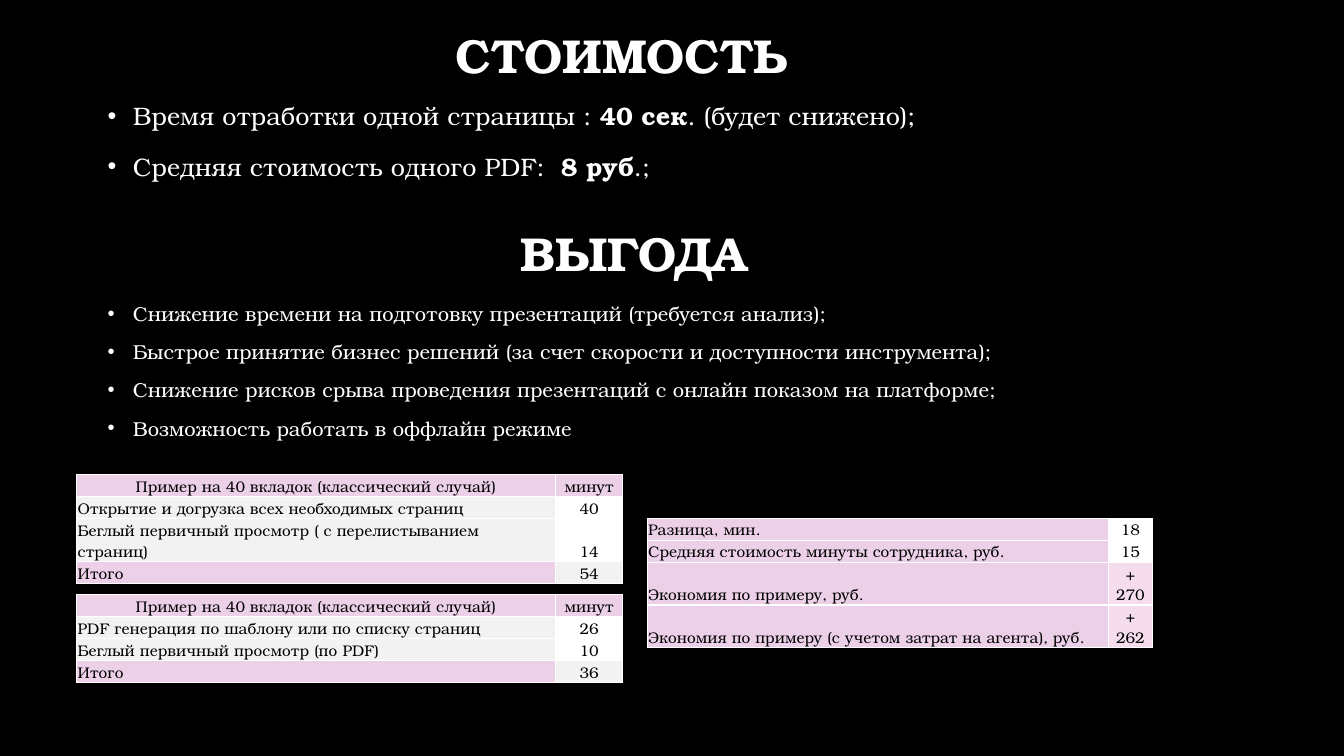
import pptx
import pptx.util
import pptx.dml.color
import pptx.enum.text
import pptx.oxml.ns
import lxml.etree

COLORS = {
    "background": "000000",
    "light_text": "FFFFFF",
    "dark_text": "000000",
    "border": "FFFFFF",
    "pink": "EBD0E7",
    "pale_pink": "F5DDEE",
    "gray": "F2F2F2",
    "white": "FFFFFF",
}
FONT = "TeX Gyre Bonum"
COLUMNS, ROWS = 160, 90
SINGLE_LINE, DOUBLE_LINE = 2.62, 5.1
ALIGN = pptx.enum.text.PP_ALIGN
ANCHOR = pptx.enum.text.MSO_ANCHOR

deck = pptx.Presentation()
deck.slide_width = pptx.util.Inches(13.33)
deck.slide_height = pptx.util.Inches(7.5)
COLUMN = deck.slide_width / COLUMNS
ROW = deck.slide_height / ROWS


def color(name):
    return pptx.dml.color.RGBColor.from_string(COLORS[name])


def place(box):
    left, top, width, height = box
    return [round(n) for n in (left * COLUMN, top * ROW, width * COLUMN, height * ROW)]


def apply(target, formats):
    for key, value in formats.items():
        setattr(target, key, value)


def write(paragraph, parts, size, text_color, formats):
    apply(paragraph, formats)
    for text, bold in parts:
        run = paragraph.add_run()
        run.text = text
        apply(run.font, {"name": FONT, "size": pptx.util.Pt(size), "bold": bold})
        run.font.color.rgb = color(text_color)


def add_bullet(paragraph):
    properties = paragraph._p.get_or_add_pPr()
    indent = pptx.util.Inches(0.25)
    properties.set("marL", str(indent))
    properties.set("indent", str(-indent))
    for tag, attribute, value in (("a:buFont", "typeface", "Arial"), ("a:buChar", "char", "•")):
        element = lxml.etree.SubElement(properties, pptx.oxml.ns.qn(tag))
        element.set(attribute, value)


def add_border(cell):
    properties = cell._tc.get_or_add_tcPr()
    for side in ("a:lnL", "a:lnR", "a:lnT", "a:lnB"):
        line = lxml.etree.SubElement(properties, pptx.oxml.ns.qn(side), w=str(pptx.util.Pt(1)))
        fill = lxml.etree.SubElement(line, pptx.oxml.ns.qn("a:solidFill"))
        lxml.etree.SubElement(fill, pptx.oxml.ns.qn("a:srgbClr"), val=COLORS["border"])


def add_heading(slide, box, text):
    frame = slide.shapes.add_textbox(*place(box)).text_frame
    apply(frame, {"word_wrap": True, "vertical_anchor": ANCHOR.MIDDLE})
    write(frame.paragraphs[0], [(text, True)], 34, "light_text",
          {"alignment": ALIGN.CENTER, "line_spacing": 0.9})


def add_list(slide, box, items, size, spacing):
    frame = slide.shapes.add_textbox(*place(box)).text_frame
    frame.word_wrap = True
    for index, parts in enumerate(items):
        paragraph = frame.add_paragraph() if index else frame.paragraphs[0]
        add_bullet(paragraph)
        write(paragraph, parts, size, "light_text",
              {"line_spacing": spacing, "space_before": pptx.util.Pt(10 if index else 0)})


def add_calculation(slide, corner, widths, rows, fills, wrapped_rows, has_header):
    heights = [DOUBLE_LINE if r in wrapped_rows else SINGLE_LINE for r in range(len(rows))]
    box = (*corner, sum(widths), sum(heights))
    table = slide.shapes.add_table(len(rows), len(widths), *place(box)).table
    apply(table, {"first_row": has_header, "horz_banding": False})
    for column, width in zip(table.columns, widths):
        column.width = round(width * COLUMN)
    for row, height in zip(table.rows, heights):
        row.height = round(height * ROW)
    margin = pptx.util.Inches(0.01)
    for r, (texts, row_fills) in enumerate(zip(rows, fills)):
        for c, (text, fill) in enumerate(zip(texts, row_fills)):
            cell = table.cell(r, c)
            add_border(cell)
            apply(cell, {"margin_left": margin, "margin_right": margin, "margin_top": margin,
                         "margin_bottom": 0, "vertical_anchor": ANCHOR.BOTTOM})
            cell.fill.solid()
            cell.fill.fore_color.rgb = color(fill)
            centered = c == 1 or (has_header and r == 0)
            write(cell.text_frame.paragraphs[0], [(text, False)], 11, "dark_text",
                  {"alignment": ALIGN.CENTER if centered else ALIGN.LEFT})


def build_cost(slide, left, top):
    add_heading(slide, (left, top, 135.84, 17.4), "СТОИМОСТЬ")
    add_list(slide, (left + 5.52, top + 12.48, 149.28, 11.88), [
        [("Время отработки одной страницы : ", False), ("40 сек", True),
         (". (будет снижено);", False)],
        [("Средняя стоимость одного PDF:  ", False), ("8 руб", True), (".;", False)],
    ], 18, 1.2)


def build_benefit(slide, left, top):
    add_heading(slide, (left, top, 135.84, 17.4), "ВЫГОДА")
    benefits = (
        "Снижение времени на подготовку презентаций (требуется анализ);",
        "Быстрое принятие бизнес решений (за счет скорости и доступности инструмента);",
        "Снижение рисков срыва проведения презентаций с онлайн показом на платформе;",
        "Возможность работать в оффлайн режиме",
    )
    add_list(slide, (left + 4.08, top + 13.44, 149.28, 17.28),
             [[(benefit, False)] for benefit in benefits], 14.4, 1.0)


def build_example(slide, left, top):
    header = ("Пример на 40 вкладок (классический случай)", "минут")
    scenarios = (
        ((("Открытие и догрузка всех необходимых страниц", "40"),
          ("Беглый первичный просмотр ( с перелистыванием страниц)", "14"),
          ("Итого", "54")), {2}),
        ((("PDF генерация по шаблону или по списку страниц", "26"),
          ("Беглый первичный просмотр (по PDF)", "10"),
          ("Итого", "36")), set()),
    )
    scenario_fills = (("pink", "pink"), ("gray", "white"), ("gray", "white"), ("pink", "gray"))
    for index, (steps, wrapped_rows) in enumerate(scenarios):
        add_calculation(slide, (left, top + index * 14.28), (57, 8.04),
                        (header, *steps), scenario_fills, wrapped_rows, True)
    savings = (
        ("Разница, мин.", "18"),
        ("Средняя стоимость минуты сотрудника, руб.", "15"),
        ("Экономия по примеру, руб.", "+ 270"),
        ("Экономия по примеру (с учетом затрат на агента), руб.", "+ 262"),
    )
    savings_fills = [("pink", "white")] * 2 + [("pink", "pale_pink")] * 2
    add_calculation(slide, (left + 67.92, top + 5.16), (54.96, 5.16),
                    savings, savings_fills, {2, 3}, False)


def main():
    slide = deck.slides.add_slide(deck.slide_layouts[6])
    slide.background.fill.solid()
    slide.background.fill.fore_color.rgb = color("background")
    build_cost(slide, 6.12, -1.8)
    build_benefit(slide, 7.56, 21.84)
    build_example(slide, 9.12, 56.52)
    deck.save("out.pptx")


if __name__ == "__main__":
    main()
